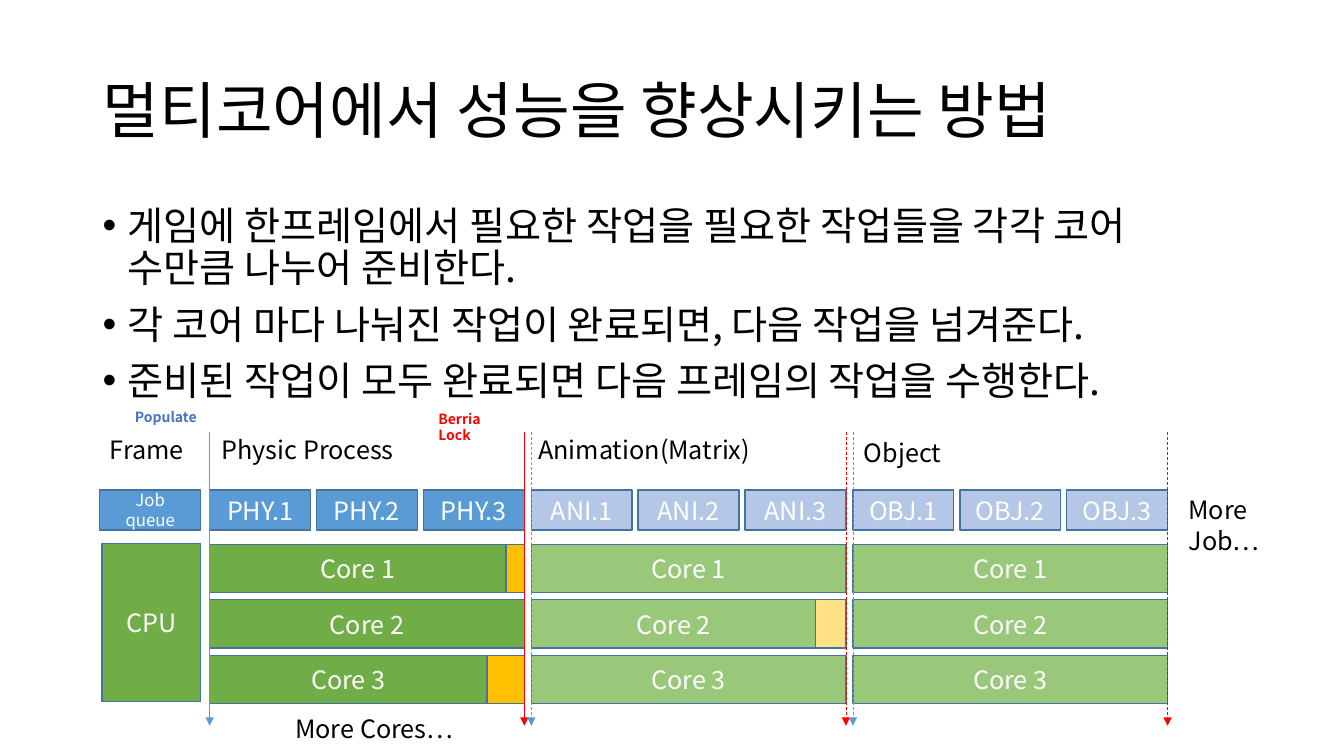
from dataclasses import dataclass

from lxml.etree import SubElement
from pptx import Presentation
from pptx.dml.color import RGBColor
from pptx.enum.dml import MSO_LINE
from pptx.enum.shapes import MSO_CONNECTOR, MSO_SHAPE
from pptx.enum.text import MSO_ANCHOR, MSO_AUTO_SIZE, PP_ALIGN
from pptx.oxml.ns import qn
from pptx.util import Pt

PX = 9144  # 100 px to the inch


@dataclass(frozen=True)
class Theme:
    font: str = "Noto Sans CJK KR"
    text: str = "000000"
    white: str = "FFFFFF"
    outline: str = "43739E"
    job: str = "5B9BD5"
    job_next: str = "B4C7E7"
    core: str = "70AD47"
    core_next: str = "9AC87A"
    idle: str = "FFC000"
    idle_next: str = "FFE285"
    populate: str = "4472C4"
    lock: str = "FF0000"
    title_size: int = 44
    body_size: int = 28
    label_size: int = 18
    small_size: int = 12
    note_size: int = 10


class Deck:
    def __init__(self, theme):
        self.theme = theme
        self.prs = Presentation()
        self.prs.slide_width = 1333 * PX
        self.prs.slide_height = 750 * PX
        self.s = self.prs.slides.add_slide(self.prs.slide_layouts[5])

    def style(self, tf, size, color, bold=False):
        for p in tf.paragraphs:
            for r in p.runs:
                r.font.name = self.theme.font
                r.font.size = Pt(size)
                r.font.bold = bold
                r.font.color.rgb = RGBColor.from_string(color)
                ea = SubElement(r.font._element, qn("a:ea"))
                ea.set("typeface", self.theme.font)

    def title(self, text, x, y, w, h):
        sp = self.s.shapes.title
        sp.left, sp.top, sp.width, sp.height = (v * PX for v in (x, y, w, h))
        tf = sp.text_frame
        tf.text = text
        tf.word_wrap = True
        tf.vertical_anchor = MSO_ANCHOR.MIDDLE
        p = tf.paragraphs[0]
        p.alignment = PP_ALIGN.LEFT
        p.line_spacing = 0.9
        self.style(tf, self.theme.title_size, self.theme.text)

    def textbox(self, text, x, y, w, h):
        sp = self.s.shapes.add_textbox(x * PX, y * PX, w * PX, h * PX)
        tf = sp.text_frame
        tf.text = text
        tf.word_wrap = True
        return tf

    def bullets(self, lines, x, y, w, h):
        tf = self.textbox("\n".join(lines), x, y, w, h)
        for i, p in enumerate(tf.paragraphs):
            p.line_spacing = 0.9
            p.space_before = Pt(10 if i else 0)
            pPr = p._p.get_or_add_pPr()
            pPr.set("marL", str(25 * PX))
            pPr.set("indent", str(-25 * PX))
            SubElement(pPr, qn("a:buFont")).set("typeface", "Arial")
            SubElement(pPr, qn("a:buChar")).set("char", "•")
        self.style(tf, self.theme.body_size, self.theme.text)

    def label(self, text, x, y, w, h=40):
        tf = self.textbox(text, x, y, w, h)
        tf.auto_size = MSO_AUTO_SIZE.SHAPE_TO_FIT_TEXT
        self.style(tf, self.theme.label_size, self.theme.text)

    def note(self, text, x, y, w, color):
        tf = self.textbox(text, x, y, w, 27)
        tf.auto_size = MSO_AUTO_SIZE.SHAPE_TO_FIT_TEXT
        self.style(tf, self.theme.note_size, color, bold=True)

    def box(self, x, y, w, h, fill, text="", size=None):
        sp = self.s.shapes.add_shape(
            MSO_SHAPE.RECTANGLE, x * PX, y * PX, w * PX, h * PX)
        sp.shadow.inherit = False
        sp.fill.solid()
        sp.fill.fore_color.rgb = RGBColor.from_string(fill)
        sp.line.color.rgb = RGBColor.from_string(self.theme.outline)
        sp.line.width = Pt(1)
        if text:
            tf = sp.text_frame
            tf.text = text
            tf.word_wrap = True
            tf.vertical_anchor = MSO_ANCHOR.MIDDLE
            tf.paragraphs[0].alignment = PP_ALIGN.CENTER
            self.style(tf, size or self.theme.label_size, self.theme.white)

    def marker(self, x, color, dashed):
        """Vertical arrow down through the whole timeline."""
        c = self.s.shapes.add_connector(
            MSO_CONNECTOR.STRAIGHT, x * PX, 429 * PX, x * PX, 720 * PX)
        c.line.color.rgb = RGBColor.from_string(color)
        c.line.width = Pt(0.5)
        if dashed:
            c.line.dash_style = MSO_LINE.DASH
        SubElement(c.line._get_or_add_ln(), qn("a:tailEnd")).set("type", "triangle")
        SubElement(c._element.spPr, qn("a:effectLst"))


JOB_TOP, JOB_W, JOB_H, JOB_STEP = 486, 100, 40, 106
CORE_TOP, CORE_H, CORE_STEP = 540, 48, 55
PHASE_LEFT, PHASE_W, PHASE_STEP = 208, 312, 319

# job prefix, idle width at the end of each core
PHASES = [("PHY", (18, 0, 37)), ("ANI", (0, 30, 0)), ("OBJ", (0, 0, 0))]


def add_phase(deck, index, prefix, idle_widths):
    t = deck.theme
    current = index == 0
    left = PHASE_LEFT + index * PHASE_STEP
    right = left + PHASE_W
    job = t.job if current else t.job_next
    core = t.core if current else t.core_next
    idle_fill = t.idle if current else t.idle_next
    for i, idle in enumerate(idle_widths):
        deck.box(left + i * JOB_STEP, JOB_TOP, JOB_W, JOB_H, job, f"{prefix}.{i + 1}")
        top = CORE_TOP + i * CORE_STEP
        deck.box(left, top, PHASE_W - idle, CORE_H, core, f"Core {i + 1}")
        if idle:
            deck.box(right - idle, top, idle, CORE_H, idle_fill)
    deck.marker(left, t.job, dashed=not current)
    deck.marker(right, t.lock, dashed=not current)


def main():
    t = Theme()
    deck = Deck(t)
    deck.title("멀티코어에서 성능을 향상시키는 방법", 92, 40, 1150, 145)
    deck.bullets([
        "게임에 한프레임에서 필요한 작업을 필요한 작업들을 각각 코어 수만큼 나누어 준비한다.",
        "각 코어 마다 나눠진 작업이 완료되면, 다음 작업을 넘겨준다.",
        "준비된 작업이 모두 완료되면 다음 프레임의 작업을 수행한다.",
    ], 92, 200, 1150, 224)

    deck.box(99, JOB_TOP, JOB_W, JOB_H, t.job, "Job queue", t.small_size)
    deck.box(101, 539, 98, 157, t.core, "CPU")
    for index, (prefix, idle_widths) in enumerate(PHASES):
        add_phase(deck, index, prefix, idle_widths)

    deck.label("Frame", 99, 426, 100)
    deck.label("Physic Process", 210, 426, 310)
    deck.label("Animation(Matrix)", 524, 426, 310)
    deck.label("Object", 847, 429, 310)
    deck.label("More Job…", 1169, 486, 150)
    deck.label("More Cores…", 283, 703, 200)
    deck.note("Populate", 124, 400, 85, t.populate)
    deck.note("Berria Lock", 425, 402, 94, t.lock)
    deck.prs.save("out.pptx")


if __name__ == "__main__":
    main()
